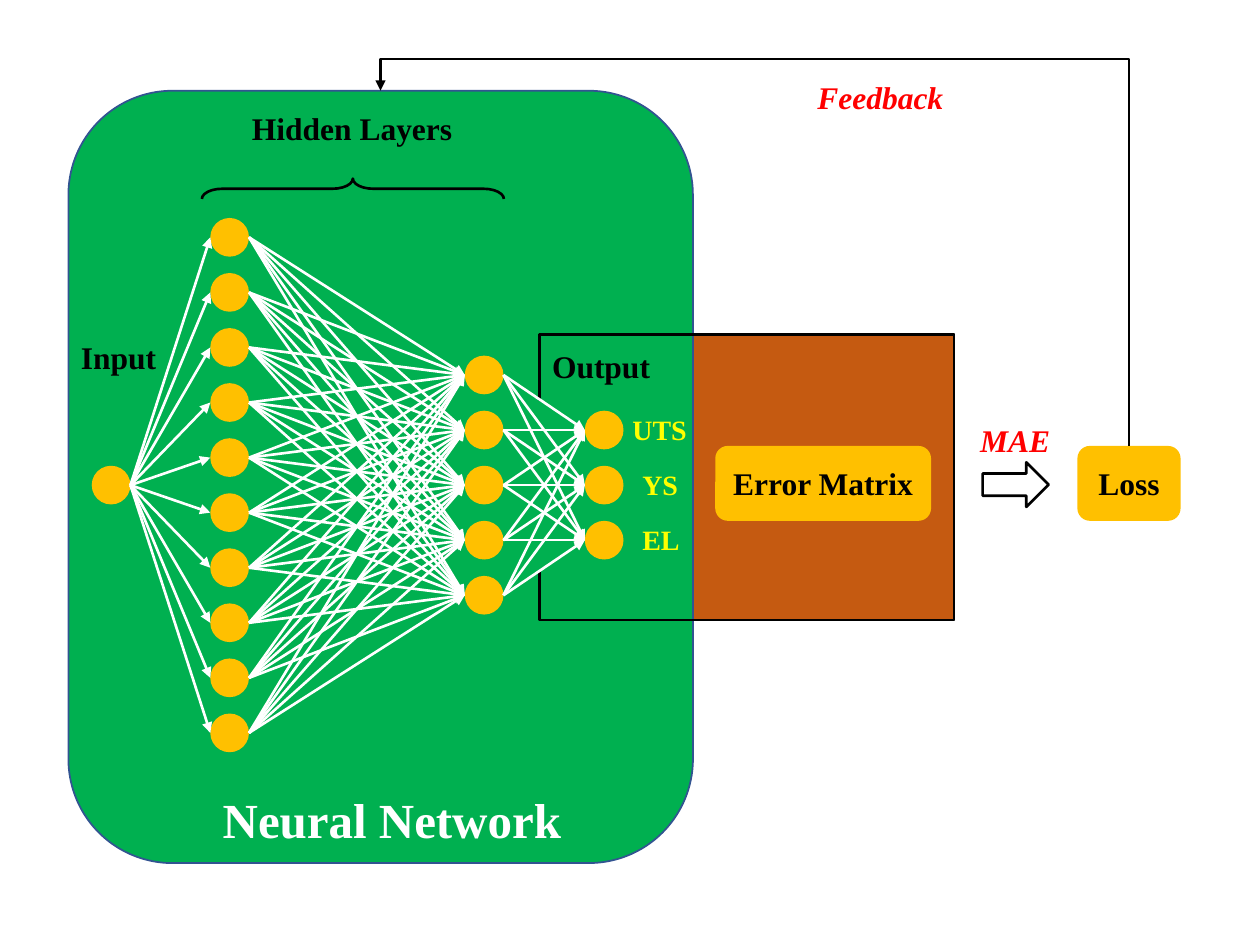
import dataclasses
import itertools
import typing

import pptx
import pptx.dml.color
import pptx.enum.shapes
import pptx.enum.text
import pptx.oxml
import pptx.oxml.ns
import pptx.util

Cm = pptx.util.Cm
Kind = pptx.enum.shapes.MSO_SHAPE
Link = pptx.enum.shapes.MSO_CONNECTOR
Box = typing.Tuple[float, float, float, float]
Point = typing.Tuple[float, float]


@dataclasses.dataclass(frozen=True)
class Theme:
    """Colours, type sizes and line widths."""
    font: str = "Times New Roman"
    black: str = "000000"
    white: str = "FFFFFF"
    green: str = "00B050"
    brown: str = "C55A11"
    gold: str = "FFC000"
    blue: str = "325491"
    red: str = "FF0000"
    yellow: str = "FFFF00"
    title: float = 28
    body: float = 18
    small: float = 16
    thin: float = 1
    thick: float = 1.5


THEME = Theme()


@dataclasses.dataclass(frozen=True)
class Form:
    """A preset shape; the box is left, top, width, height in cm."""
    kind: typing.Any
    box: Box
    fill: typing.Optional[str] = None
    line: typing.Optional[str] = None
    weight: float = THEME.thick
    turn: float = 0
    adjust: typing.Tuple[float, ...] = ()
    text: str = ""


@dataclasses.dataclass(frozen=True)
class Label:
    """A text box with one run."""
    text: str
    box: Box
    color: str = THEME.black
    size: float = THEME.body
    slant: bool = False


@dataclasses.dataclass(frozen=True)
class Layer:
    """A column of nodes, centred on the middle line."""
    left: float
    count: int


NODE = 0.78
PITCH = 1.11
MIDDLE = 9.78

PANELS = [
    Form(Kind.RECTANGLE, (13.97, 6.74, 5.26, 5.76), THEME.brown, THEME.black, THEME.thin),
    Form(Kind.ROUNDED_RECTANGLE, (1.38, 1.83, 12.59, 15.57), THEME.green, THEME.blue, THEME.thin),
    Form(Kind.RECTANGLE, (10.88, 6.74, 8.35, 5.76), line=THEME.black),
    Form(Kind.TRAPEZOID, (8.79, 9.12, 4.19, 1.34), THEME.green, turn=90, adjust=(0.59,)),
    Form(Kind.ROUNDED_RECTANGLE, (14.42, 8.99, 4.35, 1.51), THEME.gold, text="Error Matrix"),
    Form(Kind.ROUNDED_RECTANGLE, (21.72, 8.99, 2.08, 1.51), THEME.gold, text="Loss"),
    Form(Kind.RIGHT_BRACE, (6.91, 0.76, 0.41, 6.09), line=THEME.black, turn=270, adjust=(1.01, 0.5)),
    Form(Kind.RIGHT_ARROW, (19.81, 9.32, 1.33, 0.9), line=THEME.black),
]

LABELS = [
    Label("Neural Network", (4.24, 15.8, 7.85, 1.45), THEME.white, THEME.title),
    Label("Input", (1.38, 6.68, 2.11, 1.02)),
    Label("Output", (10.88, 6.88, 2.54, 1.02)),
    Label("Hidden Layers", (4.83, 2.08, 4.72, 1.02)),
    Label("MAE", (19.51, 8.36, 2.54, 1.02), THEME.red, slant=True),
    Label("UTS", (12.5, 8.2, 1.7, 0.94), THEME.yellow, THEME.small),
    Label("YS", (12.7, 9.3, 1.7, 0.94), THEME.yellow, THEME.small),
    Label("EL", (12.7, 10.41, 1.7, 0.94), THEME.yellow, THEME.small),
    Label("Feedback", (16.23, 1.45, 3.3, 1.02), THEME.red, slant=True),
]

LAYERS = [Layer(1.85, 1), Layer(4.24, 10), Layer(9.37, 5), Layer(11.79, 3)]


def tint(code: str) -> pptx.dml.color.RGBColor:
    """Turn a hex code into a colour."""
    return pptx.dml.color.RGBColor.from_string(code)


def style(frame: typing.Any, color: str, size: float, slant: bool = False) -> None:
    """Format every run of a text frame."""
    frame.word_wrap = True
    for run in itertools.chain.from_iterable(p.runs for p in frame.paragraphs):
        font = run.font
        font.name, font.size = THEME.font, pptx.util.Pt(size)
        font.bold, font.italic = True, slant
        font.color.rgb = tint(color)


def draw(slide: typing.Any, form: Form) -> None:
    """Add a preset shape."""
    shape = slide.shapes.add_shape(form.kind, *map(Cm, form.box))
    shape.shadow.inherit = False
    shape.rotation = form.turn
    for index, value in enumerate(form.adjust):
        shape.adjustments[index] = value
    if form.fill:
        shape.fill.solid()
        shape.fill.fore_color.rgb = tint(form.fill)
    else:
        shape.fill.background()
    if form.line:
        shape.line.color.rgb = tint(form.line)
        shape.line.width = pptx.util.Pt(form.weight)
    else:
        shape.line.fill.background()
    if form.text:
        frame = shape.text_frame
        frame.text = form.text
        frame.vertical_anchor = pptx.enum.text.MSO_ANCHOR.MIDDLE
        frame.paragraphs[0].alignment = pptx.enum.text.PP_ALIGN.CENTER
        style(frame, THEME.black, THEME.body)


def write(slide: typing.Any, label: Label) -> None:
    """Add a text label."""
    frame = slide.shapes.add_textbox(*map(Cm, label.box)).text_frame
    frame.text = label.text
    style(frame, label.color, label.size, label.slant)


def join(slide: typing.Any, start: Point, end: Point, color: str,
         kind: typing.Any = Link.STRAIGHT) -> typing.Any:
    """Add a connector with an arrowhead at its end."""
    link = slide.shapes.add_connector(kind, *map(Cm, start + end))
    link.line.color.rgb = tint(color)
    link.line.width = pptx.util.Pt(THEME.thick)
    qn = pptx.oxml.ns.qn
    head = link.line._get_or_add_ln().makeelement(qn("a:tailEnd"), {"type": "triangle"})
    link.line._get_or_add_ln().append(head)
    props = link._element.spPr
    props.append(props.makeelement(qn("a:effectLst"), {}))
    return link


def loop(slide: typing.Any, start: Point, end: Point, rise: float) -> None:
    """Add the bent feedback arrow, which rises above its end."""
    mid_x, mid_y = (start[0] + end[0]) / 2, (start[1] + end[1]) / 2
    wide, high = (start[1] - end[1]) / 2, (start[0] - end[0]) / 2
    link = join(slide, (mid_x - wide, mid_y + high), (mid_x + wide, mid_y - high),
                THEME.black, Link.ELBOW)
    props = link._element.spPr
    qn = pptx.oxml.ns.qn
    props.find(qn("a:xfrm")).set("rot", str(270 * 60000))
    geom = props.find(qn("a:prstGeom"))
    guides = geom.find(qn("a:avLst"))
    if guides is None:
        guides = geom.makeelement(qn("a:avLst"), {})
        geom.append(guides)
    bend = round(100000 * (1 + rise / (2 * wide)))
    guides.append(guides.makeelement(qn("a:gd"), {"name": "adj1", "fmla": f"val {bend}"}))


def rows(layer: Layer) -> typing.List[float]:
    """Give the centre heights of a layer's nodes."""
    return [MIDDLE + (i - (layer.count - 1) / 2) * PITCH for i in range(layer.count)]


def mesh(slide: typing.Any) -> None:
    """Draw all nodes and link each layer to the next."""
    for layer in LAYERS:
        for y in rows(layer):
            draw(slide, Form(Kind.OVAL, (layer.left, y - NODE / 2, NODE, NODE), THEME.gold))
    for near, far in zip(LAYERS, LAYERS[1:]):
        for y, z in itertools.product(rows(near), rows(far)):
            join(slide, (near.left + NODE, y), (far.left, z), THEME.white)


def main() -> None:
    """Build and save the slide."""
    deck = pptx.Presentation()
    deck.slide_width, deck.slide_height = Cm(25.4), Cm(19.05)
    slide = deck.slides.add_slide(deck.slide_layouts[6])
    for form in PANELS:
        draw(slide, form)
    mesh(slide)
    loop(slide, (22.76, 8.99), (7.67, 1.83), 0.64)
    for label in LABELS:
        write(slide, label)
    deck.save("out.pptx")


main()
